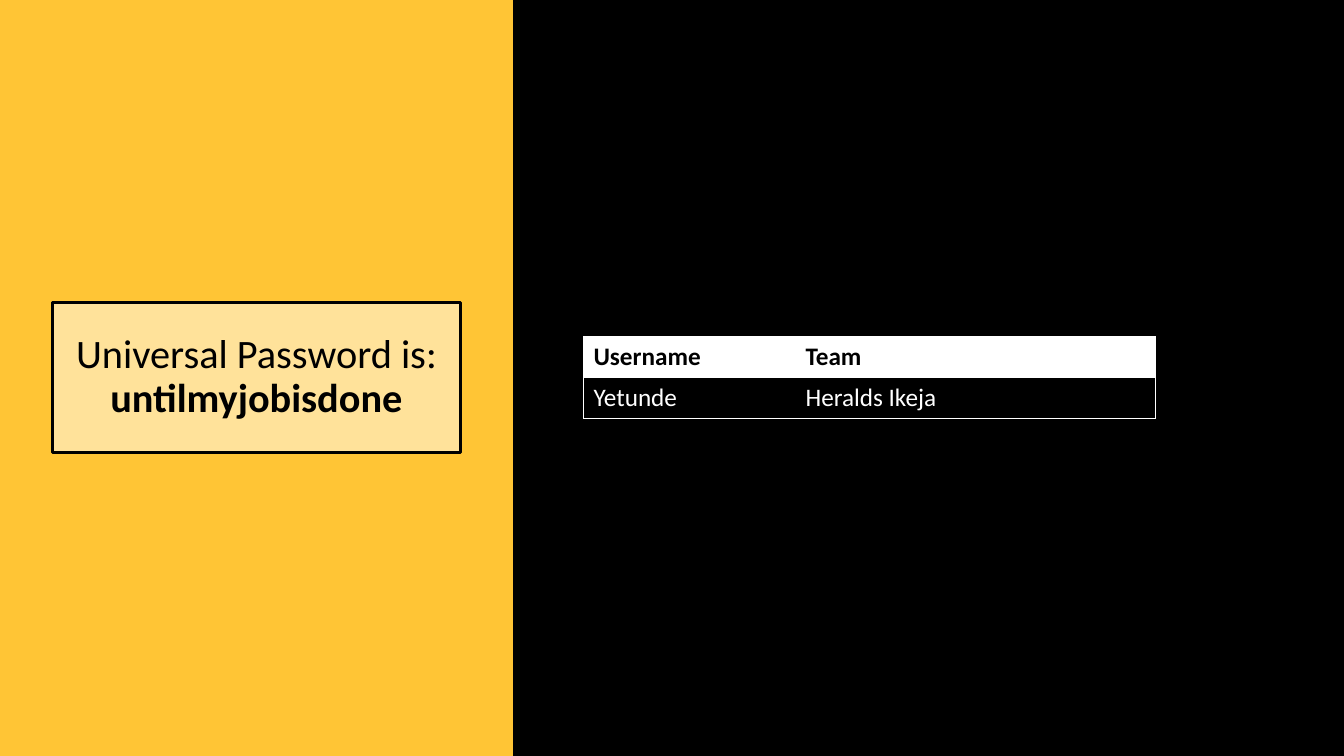
import dataclasses

import lxml.etree
import pptx
import pptx.dml.color
import pptx.enum.shapes
import pptx.enum.text
import pptx.oxml.ns
import pptx.util

Pt = pptx.util.Pt
qn = pptx.oxml.ns.qn
YELLOW, BLACK, WHITE = "FFC535", "000000", "FFFFFF"
PAGE_WIDTH, PAGE_HEIGHT, SPLIT = 960, 540, 366.5


@dataclasses.dataclass
class Panel:
    left: float
    width: float
    color: str


@dataclasses.dataclass
class TableRow:
    texts: tuple[str, ...]
    fill: str
    color: str
    bold: bool


PANELS = [Panel(0, SPLIT, YELLOW), Panel(SPLIT, PAGE_WIDTH - SPLIT, BLACK)]
ROWS = [
    TableRow(("Username", "Team"), WHITE, BLACK, True),
    TableRow(("Yetunde", "Heralds Ikeja"), BLACK, WHITE, False),
]
COLUMN_WIDTHS = (151.5, 257)
ROW_HEIGHT = 29.2


def paint(target, color: str) -> None:
    target.solid()
    target.fore_color.rgb = pptx.dml.color.RGBColor.from_string(color)


def add_span(para, text: str, size: float, color: str, bold: bool) -> None:
    span = para.add_run()
    span.text = text
    span.font.name = "Calibri"
    span.font.size = Pt(size)
    span.font.bold = bold
    paint(span.font.fill, color)


def add_panel(page, panel: Panel):
    box = page.shapes.add_shape(
        pptx.enum.shapes.MSO_SHAPE.RECTANGLE,
        Pt(panel.left), Pt(0), Pt(panel.width), Pt(PAGE_HEIGHT),
    )
    box.shadow.inherit = False
    paint(box.fill, panel.color)
    box.line.fill.background()
    return box


def format_title(box) -> None:
    box.left, box.top, box.width, box.height = Pt(37.5), Pt(216), Pt(291.5), Pt(107.5)
    paint(box.fill, WHITE)
    color = box.fill._xPr.find(qn("a:solidFill"))[0]
    lxml.etree.SubElement(color, qn("a:alpha"), val="50000")
    paint(box.line.fill, BLACK)
    box.line.width = Pt(2)
    frame = box.text_frame
    frame.word_wrap = True
    frame.auto_size = pptx.enum.text.MSO_AUTO_SIZE.NONE
    frame.vertical_anchor = pptx.enum.text.MSO_ANCHOR.MIDDLE
    para = frame.paragraphs[0]
    para.alignment = pptx.enum.text.PP_ALIGN.CENTER
    para.line_spacing = 0.9
    add_span(para, "Universal Password is:", 28.8, BLACK, False)
    para.add_line_break()
    add_span(para, "untilmyjobisdone", 28.8, BLACK, True)


def set_borders(cell, visible: dict[str, bool]) -> None:
    properties = cell._tc.get_or_add_tcPr()
    for index, (side, shown) in enumerate(visible.items()):
        line = lxml.etree.Element(qn(f"a:ln{side}"), w=str(Pt(0.5)))
        properties.insert(index, line)
        if shown:
            fill = lxml.etree.SubElement(line, qn("a:solidFill"))
            lxml.etree.SubElement(fill, qn("a:srgbClr"), val=WHITE)
        else:
            lxml.etree.SubElement(line, qn("a:noFill"))


def add_team_table(page) -> None:
    table = page.shapes.add_table(
        len(ROWS), len(COLUMN_WIDTHS), Pt(416.75), Pt(240.5),
        Pt(sum(COLUMN_WIDTHS)), Pt(ROW_HEIGHT * len(ROWS)),
    ).table
    table.horz_banding = False
    for column, width in zip(table.columns, COLUMN_WIDTHS):
        column.width = Pt(width)
    last_column = len(COLUMN_WIDTHS) - 1
    for row_index, row in enumerate(ROWS):
        table.rows[row_index].height = Pt(ROW_HEIGHT)
        for column_index, text in enumerate(row.texts):
            cell = table.cell(row_index, column_index)
            paint(cell.fill, row.fill)
            add_span(cell.text_frame.paragraphs[0], text, 18, row.color, row.bold)
            set_borders(cell, {
                "L": column_index == 0,
                "R": column_index == last_column,
                "T": True,
                "B": True,
            })


def main() -> None:
    deck = pptx.Presentation()
    deck.slide_width, deck.slide_height = Pt(PAGE_WIDTH), Pt(PAGE_HEIGHT)
    page = deck.slides.add_slide(deck.slide_layouts[5])
    paint(page.background.fill, BLACK)
    title = page.shapes.title
    for panel in PANELS:
        title._element.addprevious(add_panel(page, panel)._element)
    format_title(title)
    add_team_table(page)
    deck.save("out.pptx")


if __name__ == "__main__":
    main()
